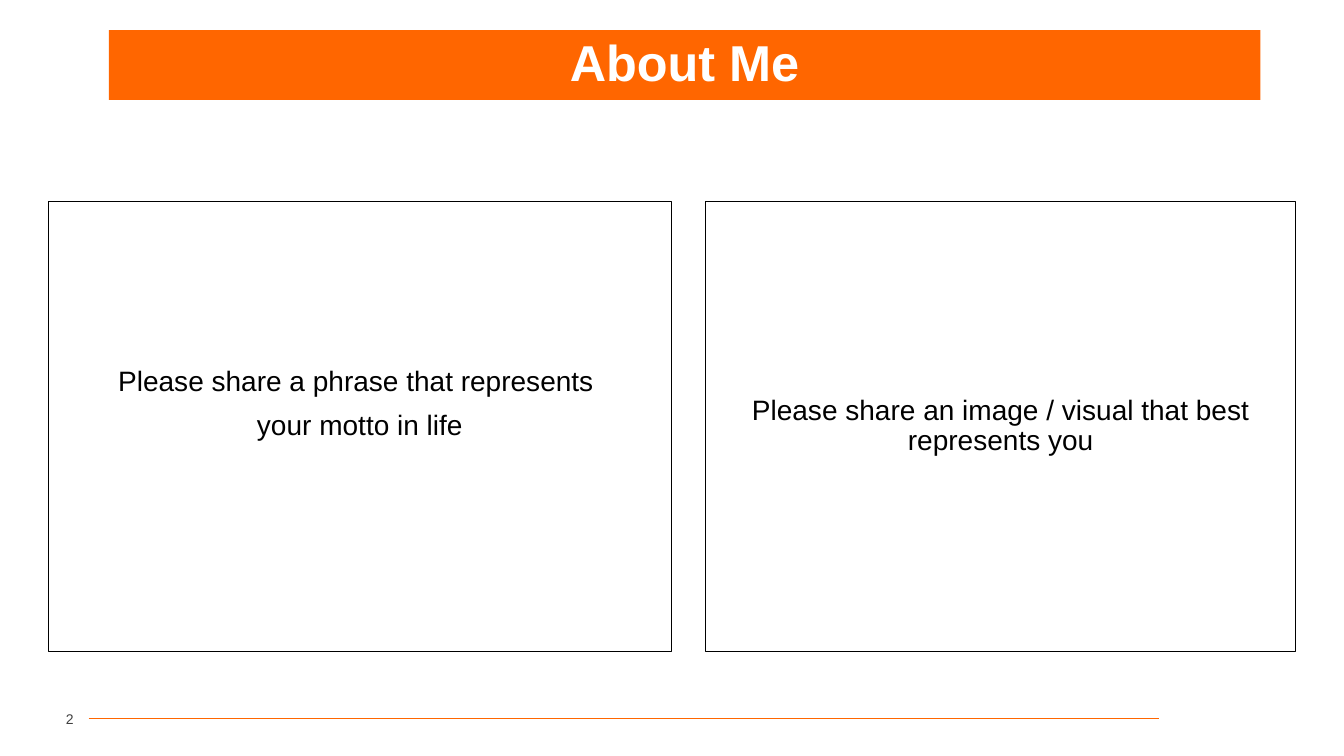
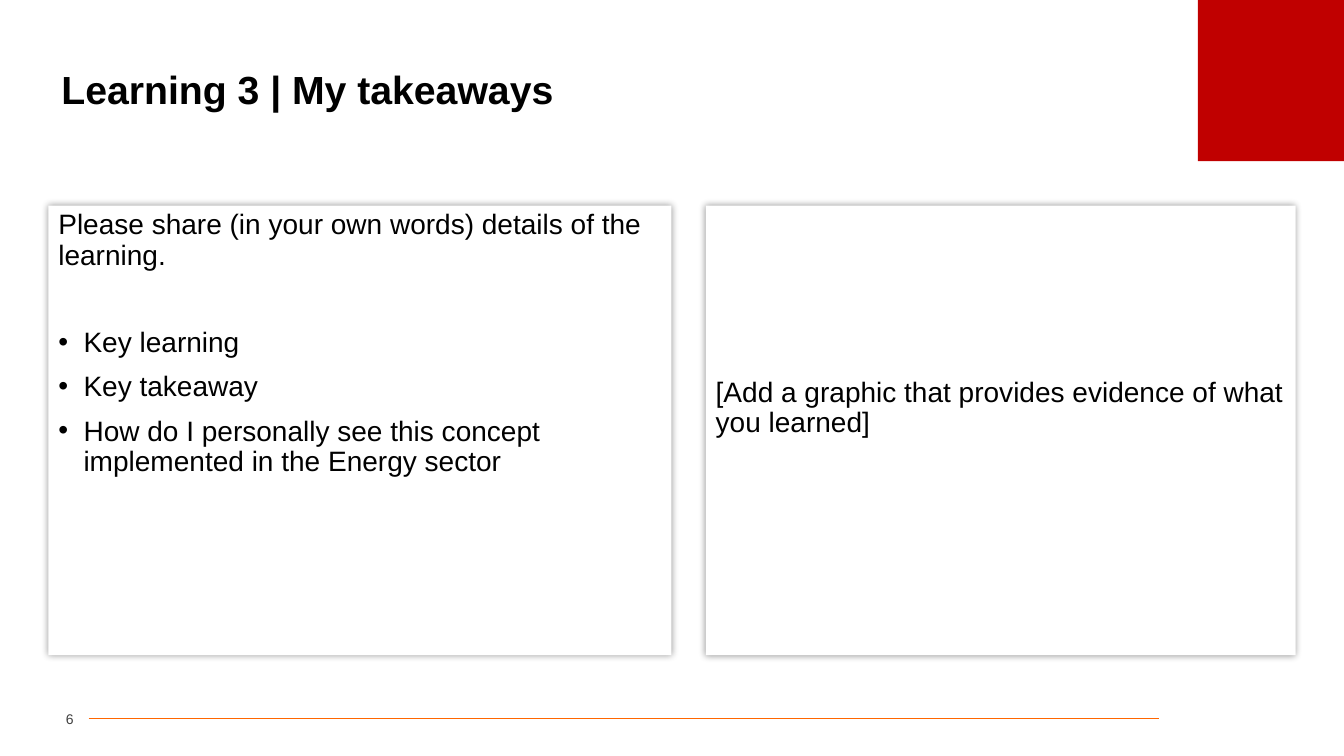
from lxml import etree
from pptx import Presentation
from pptx import util as u
from pptx.dml import color
from pptx.enum import shapes, text
from pptx.oxml import ns

SCALE = 9144  # EMU per px, 100 px to the inch
FONT = "Arial"
ORANGE, RED, BLACK, WHITE, GREY = "FF6600", "C00000", "000000", "FFFFFF", "404040"
LEFT, CENTER, RIGHT = text.PP_ALIGN.LEFT, text.PP_ALIGN.CENTER, text.PP_ALIGN.RIGHT
TOP, MIDDLE = text.MSO_ANCHOR.TOP, text.MSO_ANCHOR.MIDDLE

# Panel columns: left edge and width
LEFT_PANEL, RIGHT_PANEL = (48, 618), (700, 585)
PANEL_HEIGHT = 446
BLANK_LINE = 31  # points taken by one empty line of body text


def px(length):
    return u.Emu(length * SCALE)


def rgb(value):
    return color.RGBColor.from_string(value)


def add_xml(parent, tag, **attributes):
    return etree.SubElement(parent, ns.qn(tag), attributes)


class Deck:
    """Holds the shared style and the slide being built."""

    def __init__(self):
        self.presentation = Presentation()
        self.presentation.slide_width = px(1333)
        self.presentation.slide_height = px(750)
        self.slide = None

    def new_slide(self, number):
        layout = self.presentation.slide_layouts[5]
        self.slide = self.presentation.slides.add_slide(layout)
        self.footer(number)

    def set_text(self, shape, lines, size, font_color=BLACK, align=LEFT, anchor=MIDDLE,
                 bold=False, spacing=0.9, before=0):
        frame = shape.text_frame
        frame.word_wrap = True
        frame.auto_size = text.MSO_AUTO_SIZE.NONE
        frame.vertical_anchor = anchor
        frame.text = "\n".join(lines)
        for paragraph in frame.paragraphs:
            paragraph.alignment = align
            paragraph.line_spacing = spacing
            paragraph.space_before = u.Pt(before)
            for run in paragraph.runs:
                run.font.name, run.font.size, run.font.bold = FONT, u.Pt(size), bold
                run.font.color.rgb = rgb(font_color)
        return frame

    def title(self, words, box, size, font_color=BLACK, align=LEFT, fill=None):
        shape = self.slide.shapes.title
        shape.left, shape.top, shape.width, shape.height = map(px, box)
        if fill:
            shape.fill.solid()
            shape.fill.fore_color.rgb = rgb(fill)
        self.set_text(shape, [words], size, font_color, align, bold=True)

    def footer(self, number):
        line = self.slide.shapes.add_connector(
            shapes.MSO_CONNECTOR.STRAIGHT, px(88), px(713), px(1150), px(713))
        line.line.color.rgb = rgb(ORANGE)
        line.line.width = u.Pt(0.5)
        add_xml(line._element.spPr, "a:effectLst")
        box = self.slide.shapes.add_textbox(px(33), px(699), px(40), px(29))
        frame = self.set_text(box, [str(number)], 10, GREY, RIGHT, spacing=1.0)
        frame.margin_left = frame.margin_right = 0

    def rectangle(self, box, fill=None, outline=None):
        shape = self.slide.shapes.add_shape(shapes.MSO_SHAPE.RECTANGLE, *map(px, box))
        shape.shadow.inherit = False
        if fill:
            shape.fill.solid()
            shape.fill.fore_color.rgb = rgb(fill)
        else:
            shape.fill.background()
        if outline:
            shape.line.color.rgb = rgb(outline)
            shape.line.width = u.Pt(0.75)
        else:
            shape.line.fill.background()
        return shape

    def panel(self, column, top, lines, align=LEFT, anchor=MIDDLE, raised=False, lift=0):
        """A text panel; lift is room in points kept free below the text."""
        left, width = column
        shape = self.rectangle((left, top, width, PANEL_HEIGHT),
                               fill=WHITE if raised else None,
                               outline=None if raised else BLACK)
        if raised:
            self.glow(shape)
        frame = self.set_text(shape, lines, 20, align=align, anchor=anchor, before=10)
        frame.margin_bottom = px(5) + u.Pt(lift)
        return frame

    def glow(self, shape):
        effects = shape._element.spPr.find(ns.qn("a:effectLst"))
        shadow = add_xml(effects, "a:outerShdw", blurRad=str(u.Pt(5)), dist="0",
                         dir="0", algn="ctr", rotWithShape="0")
        shade = add_xml(shadow, "a:srgbClr", val=BLACK)
        add_xml(shade, "a:alpha", val="40000")

    def bullets(self, paragraphs):
        for paragraph in paragraphs:
            properties = paragraph._p.get_or_add_pPr()
            properties.set("marL", str(px(25)))
            properties.set("indent", str(-px(25)))
            add_xml(properties, "a:buFont", typeface=FONT)
            add_xml(properties, "a:buChar", char="•")


def about_me(deck):
    deck.new_slide(2)
    deck.title("About Me", (108, 30, 1142, 69), 36, WHITE, CENTER, fill=ORANGE)
    deck.panel(LEFT_PANEL, 200,
               ["Please share a phrase that represents ", "your motto in life"],
               align=CENTER, lift=BLANK_LINE)
    deck.panel(RIGHT_PANEL, 200,
               ["Please share an image / visual that best represents you"], align=CENTER)


def takeaways(deck):
    deck.new_slide(6)
    deck.rectangle((1188, 0, 146, 160), fill=RED)
    deck.title("Learning 3 | My takeaways", (51, 52, 1231, 78), 28)
    frame = deck.panel(LEFT_PANEL, 204, [
        "Please share (in your own words) details of the learning.",
        "Key learning",
        "Key takeaway",
        "How do I personally see this concept implemented in the Energy sector",
    ], anchor=TOP, raised=True)
    points = frame.paragraphs[1:]
    deck.bullets(points)
    points[0].space_before = u.Pt(10 + BLANK_LINE)
    deck.panel(RIGHT_PANEL, 204,
               ["[Add a graphic that provides evidence of what you learned]"],
               raised=True, lift=BLANK_LINE)


def main():
    deck = Deck()
    about_me(deck)
    takeaways(deck)
    deck.presentation.save("out.pptx")


if __name__ == "__main__":
    main()
